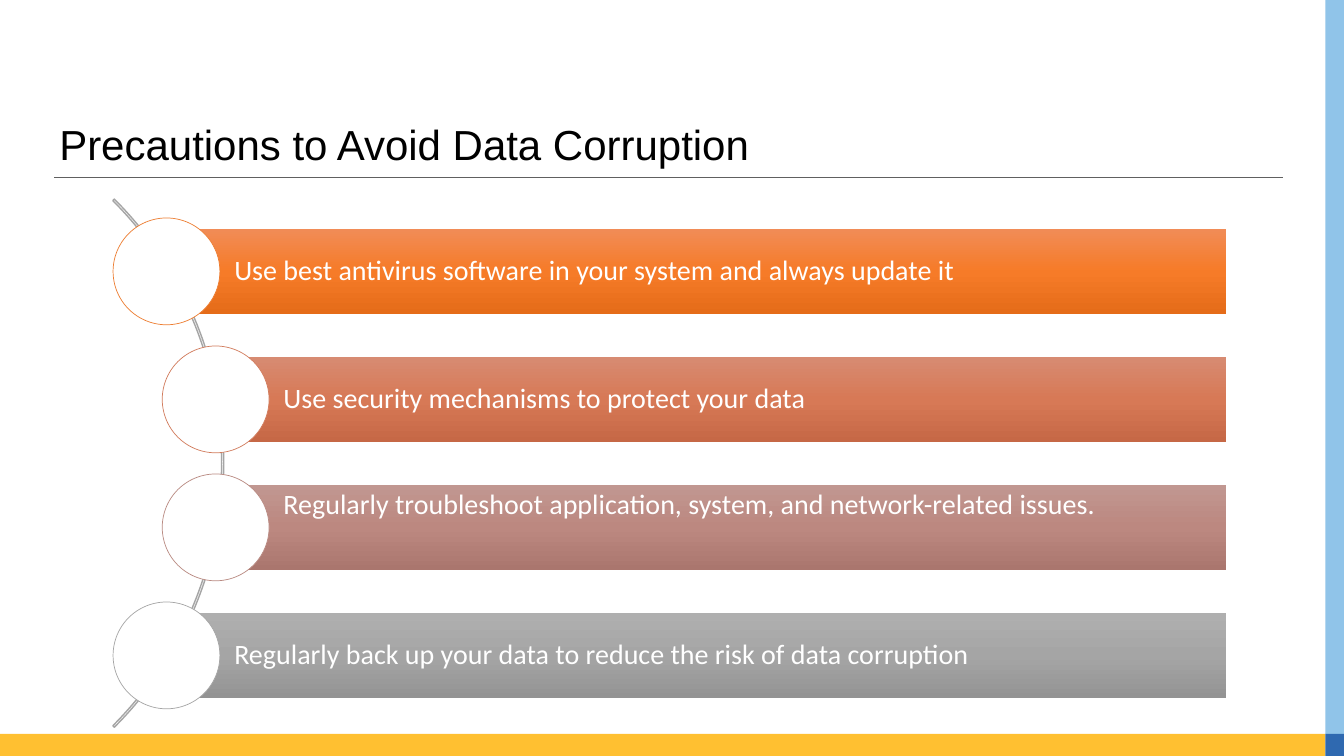
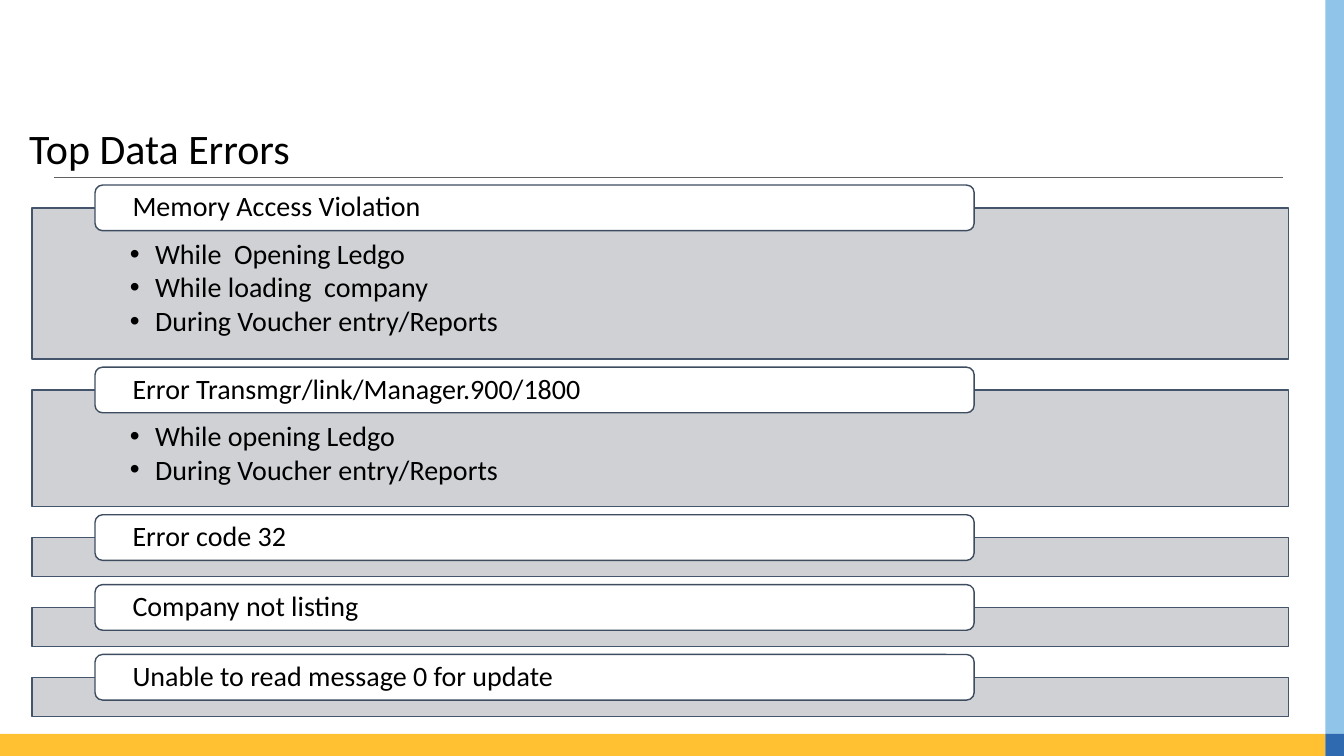
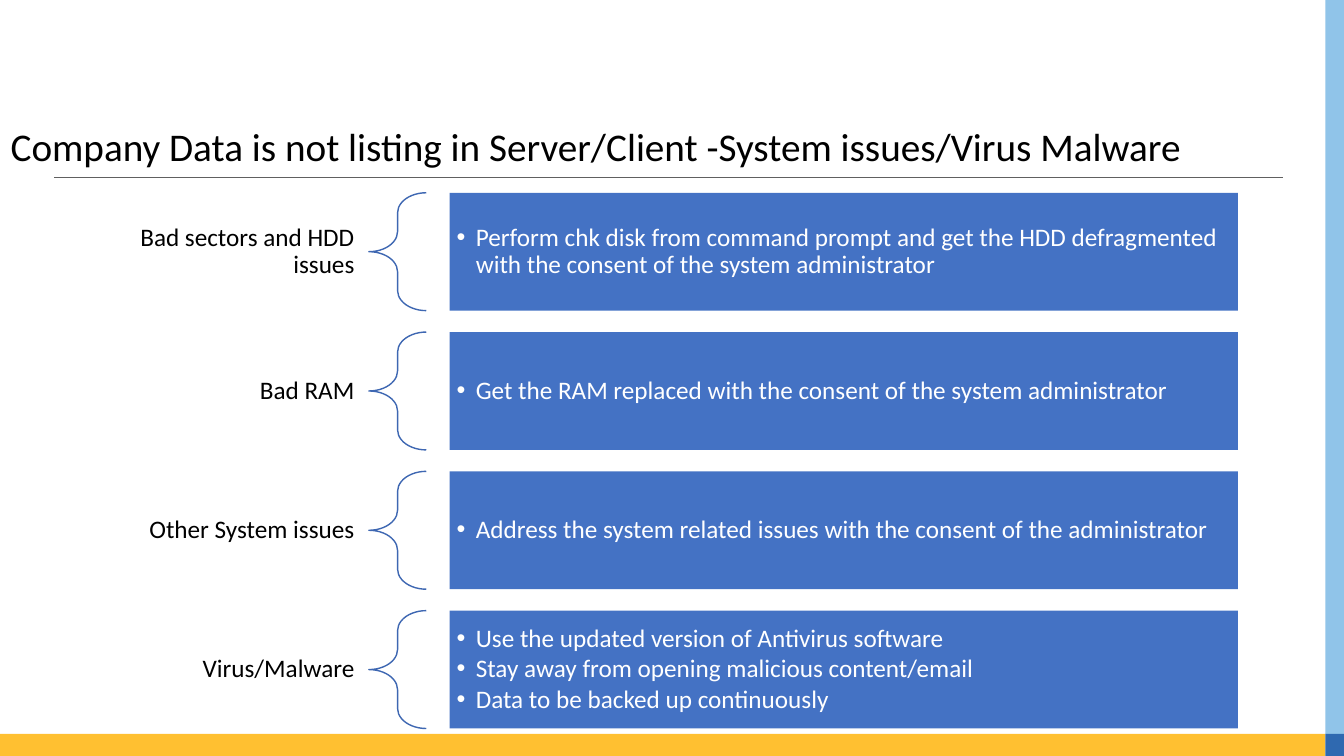
from dataclasses import dataclass

from lxml.etree import SubElement
from pptx import Presentation
from pptx.dml.color import RGBColor
from pptx.enum.shapes import MSO_CONNECTOR, MSO_SHAPE as SHAPE
from pptx.enum.text import MSO_ANCHOR as ANCHOR, PP_ALIGN as ALIGN
from pptx.oxml.ns import qn
from pptx.util import Pt

COLORS = {
    "black": "000000",
    "white": "FFFFFF",
    "yellow": "FFC031",
    "sky": "90C4E9",
    "corner": "2F69B0",
    "rule": "606060",
    "grey": "A5A5A5",
    "orange": "ED7D31",
    "terracotta": "D17B5C",
    "rose": "B98A82",
    "body": "CFD1D4",
    "body_line": "44546A",
    "tab_line": "3E4C60",
    "panel": "4472C4",
    "brace": "3E67B2",
}
GRADIENTS = {
    "orange": ("F18C57", "F67B28", "E56C19"),
    "terracotta": ("D78B72", "D77956", "C66846"),
    "rose": ("C19791", "BC8880", "AA766E"),
    "grey": ("AFAFAF", "A5A5A5", "939393"),
}
SLIDE_W, SLIDE_H = 960, 540
SIDE_X, FOOTER_Y = 946.8, 524.2


@dataclass(frozen=True)
class Box:
    x: float
    y: float
    w: float
    h: float


@dataclass(frozen=True)
class TextStyle:
    size: float = 20
    color: str = "black"
    font: str = "Calibri"
    align: ALIGN = ALIGN.LEFT
    anchor: ANCHOR = ANCHOR.MIDDLE
    insets: tuple[float, float, float, float] = (7.2, 3.6, 7.2, 3.6)
    bullet_indent: float = 0


@dataclass(frozen=True)
class Precaution:
    text: str
    color: str
    circle_x: float
    anchor: ANCHOR = ANCHOR.MIDDLE


@dataclass(frozen=True)
class DataError:
    name: str
    height: float
    cases: tuple[str, ...] = ()


@dataclass(frozen=True)
class Issue:
    name: str
    actions: tuple[str, ...]


OUTER_X, INNER_X = 80.8, 115.9
PRECAUTIONS = (
    Precaution("Use best antivirus software in your system and always update it",
               "orange", OUTER_X),
    Precaution("Use security mechanisms to protect your data",
               "terracotta", INNER_X),
    Precaution("Regularly troubleshoot application, system, and network-related issues.",
               "rose", INNER_X, ANCHOR.TOP),
    Precaution("Regularly back up your data to reduce the risk of data corruption",
               "grey", OUTER_X),
)
ERRORS = (
    DataError("Memory Access Violation", 108.1,
              ("While  Opening Ledgo", "While loading  company",
               "During Voucher entry/Reports")),
    DataError("Error Transmgr/link/Manager.900/1800", 83.4,
              ("While opening Ledgo", "During Voucher entry/Reports")),
    DataError("Error code 32", 27.9),
    DataError("Company not listing", 27.9),
    DataError("Unable to read message 0 for update", 27.9),
)
ISSUES = (
    Issue("Bad sectors and HDD issues",
          ("Perform chk disk from command prompt and get the HDD defragmented "
           "with the consent of the system administrator",)),
    Issue("Bad RAM",
          ("Get the RAM replaced with the consent of the system administrator",)),
    Issue("Other System issues",
          ("Address the system related issues with the consent of the administrator",)),
    Issue("Virus/Malware",
          ("Use the updated version of Antivirus software",
           "Stay away from opening malicious content/email",
           "Data to be backed up continuously")),
)


def rgb(name: str) -> RGBColor:
    return RGBColor.from_string(COLORS[name])


def add_bullet(p, indent: float) -> None:
    pPr = p._p.get_or_add_pPr()
    pPr.set("marL", str(Pt(indent)))
    pPr.set("indent", str(-Pt(indent)))
    SubElement(pPr, qn("a:buFont"), typeface="Arial")
    SubElement(pPr, qn("a:buChar"), char="•")


def write(sp, lines: tuple[str, ...], style: TextStyle) -> None:
    tf = sp.text_frame
    tf.word_wrap = True
    tf.vertical_anchor = style.anchor
    tf.margin_left, tf.margin_top, tf.margin_right, tf.margin_bottom = map(Pt, style.insets)
    for i, line in enumerate(lines):
        p = tf.add_paragraph() if i else tf.paragraphs[0]
        p.text = line
        p.alignment = style.align
        p.line_spacing = 0.9
        if i:
            p.space_before = Pt(2.5)
        if style.bullet_indent:
            add_bullet(p, style.bullet_indent)
        for r in p.runs:
            r.font.size = Pt(style.size)
            r.font.name = style.font
            r.font.color.rgb = rgb(style.color)


def add_shape(slide, kind: SHAPE, box: Box, fill: str = "", line: str = "",
              width: float = 1):
    sp = slide.shapes.add_shape(kind, Pt(box.x), Pt(box.y), Pt(box.w), Pt(box.h))
    sp.shadow.inherit = False
    if fill:
        sp.fill.solid()
        sp.fill.fore_color.rgb = rgb(fill)
    else:
        sp.fill.background()
    if line:
        sp.line.color.rgb = rgb(line)
        sp.line.width = Pt(width)
    else:
        sp.line.fill.background()
    return sp


def add_text(slide, box: Box, text: str, style: TextStyle) -> None:
    sp = slide.shapes.add_textbox(Pt(box.x), Pt(box.y), Pt(box.w), Pt(box.h))
    write(sp, (text,), style)


def fill_gradient(sp, stops: tuple[str, ...]) -> None:
    sp.fill.gradient()
    grad = sp._element.spPr.find(qn("a:gradFill"))
    for child in list(grad):
        grad.remove(child)
    gs_list = SubElement(grad, qn("a:gsLst"))
    for i, color in enumerate(stops):
        gs = SubElement(gs_list, qn("a:gs"), pos=str(i * 50000))
        SubElement(gs, qn("a:srgbClr"), val=color)
    SubElement(grad, qn("a:lin"), ang="5400000", scaled="0")


def new_slide(prs, title: str, box: Box, size: float = 30, font: str = "Calibri"):
    slide = prs.slides.add_slide(prs.slide_layouts[6])
    side_w, footer_h = SLIDE_W - SIDE_X, SLIDE_H - FOOTER_Y
    add_shape(slide, SHAPE.RECTANGLE, Box(0, FOOTER_Y, SIDE_X, footer_h), "yellow")
    add_shape(slide, SHAPE.RECTANGLE, Box(SIDE_X, 0, side_w, FOOTER_Y), "sky")
    add_shape(slide, SHAPE.RECTANGLE, Box(SIDE_X, FOOTER_Y, side_w, footer_h), "corner")
    rule = slide.shapes.add_connector(MSO_CONNECTOR.STRAIGHT, Pt(38.9), Pt(126.8),
                                      Pt(916.6), Pt(126.8))
    rule.line.color.rgb = rgb("rule")
    rule.line.width = Pt(0.82)
    SubElement(rule._element.spPr, qn("a:effectLst"))
    add_text(slide, box, title, TextStyle(size, font=font, anchor=ANCHOR.TOP))
    return slide


def build_precautions(prs) -> None:
    slide = new_slide(prs, "Precautions to Avoid Data Corruption",
                      Box(35.3, 85, 878, 36), font="Arial")
    arc = add_shape(slide, SHAPE.BLOCK_ARC, Box(-373.7, 64.1, 533.5, 533.5), line="grey")
    for i, value in enumerate((189, 27, 0.0029)):
        arc.adjustments[i] = value
    top, pitch, circle, bar_h, right = 155.7, 91.44, 76.3, 61, 875.6
    for i, item in enumerate(PRECAUTIONS):
        y = top + i * pitch
        bar_x = item.circle_x + circle / 2
        bar = add_shape(slide, SHAPE.RECTANGLE,
                        Box(bar_x, y + (circle - bar_h) / 2, right - bar_x, bar_h))
        fill_gradient(bar, GRADIENTS[item.color])
        write(bar, (item.text,), TextStyle(color="white", anchor=item.anchor,
                                           insets=(48.4, 4.3, 4.3, 4.3)))
        add_shape(slide, SHAPE.OVAL, Box(item.circle_x, y, circle, circle),
                  "white", item.color, 0.5)


def build_errors(prs) -> None:
    slide = new_slide(prs, "Top Data Errors", Box(13.8, 88, 878, 36))
    tab_style = TextStyle(insets=(25.2, 1.6, 25.2, 1.6))
    case_style = TextStyle(anchor=ANCHOR.TOP, insets=(69.8, 23, 69.8, 11.5),
                           bullet_indent=18)
    y, gap = 148.5, 22
    for error in ERRORS:
        body = add_shape(slide, SHAPE.RECTANGLE, Box(23, y, 897.2, error.height),
                         "body", "body_line")
        if error.cases:
            write(body, error.cases, case_style)
        tab = add_shape(slide, SHAPE.ROUNDED_RECTANGLE, Box(67.9, y - 16.3, 628, 32.6),
                        "white", "tab_line")
        write(tab, (error.name,), tab_style)
        y += error.height + gap


def build_issues(prs) -> None:
    slide = new_slide(prs,
                      "Company Data is not listing in Server/Client -System issues/Virus Malware",
                      Box(0.6, 88, 944, 36), 28)
    label_style = TextStyle(18, align=ALIGN.RIGHT, insets=(10.1, 3.6, 10.1, 3.6))
    action_style = TextStyle(18, "white", insets=(5, 5, 5, 5), bullet_indent=13.7)
    top, pitch, height = 137.7, 99.5, 84.2
    for i, issue in enumerate(ISSUES):
        y = top + i * pitch
        add_text(slide, Box(56.2, y, 207, height), issue.name, label_style)
        brace = add_shape(slide, SHAPE.LEFT_BRACE, Box(263.5, y, 41, height), line="brace")
        brace.adjustments[0] = 0.35
        panel = add_shape(slide, SHAPE.RECTANGLE, Box(321.2, y, 563, height), "panel")
        write(panel, issue.actions, action_style)


def main() -> None:
    prs = Presentation()
    prs.slide_width, prs.slide_height = Pt(SLIDE_W), Pt(SLIDE_H)
    build_precautions(prs)
    build_errors(prs)
    build_issues(prs)
    prs.save("out.pptx")


if __name__ == "__main__":
    main()
